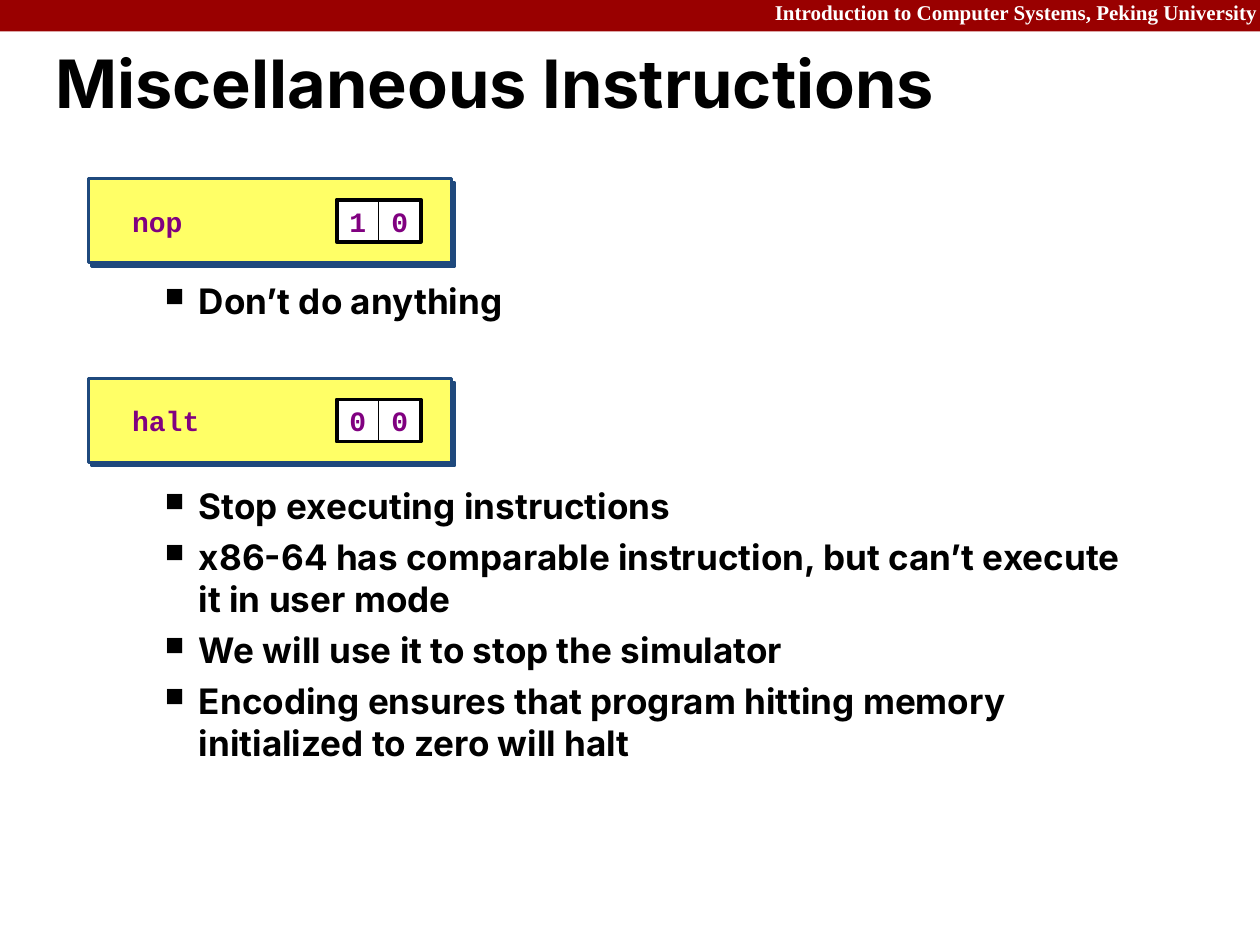
from lxml import etree
from pptx import Presentation
from pptx.dml.color import RGBColor
from pptx.enum.shapes import MSO_SHAPE
from pptx.enum.text import MSO_ANCHOR, MSO_AUTO_SIZE, PP_ALIGN
from pptx.oxml.ns import qn
from pptx.util import Pt

# Content
HEADER = "Introduction to Computer Systems, Peking University"
TITLE = "Miscellaneous Instructions"
INSTRUCTIONS = [  # name, encoding, box top, bullets top, bullets height, bullets
    ("nop", "10", 102, 156, 32, ["Don’t do anything"]),
    ("halt", "00", 216, 273, 176, [
        "Stop executing instructions",
        "x86-64 has comparable instruction, but can’t execute it in user mode",
        "We will use it to stop the simulator",
        "Encoding ensures that program hitting memory initialized to zero will halt",
    ]),
]

# Style
RED = RGBColor(0x99, 0x00, 0x00)
YELLOW = RGBColor(0xFF, 0xFF, 0x66)
NAVY = RGBColor(0x1F, 0x49, 0x7D)
PURPLE = RGBColor(0x80, 0x00, 0x80)
BLACK = RGBColor(0, 0, 0)
WHITE = RGBColor(0xFF, 0xFF, 0xFF)
SANS, SERIF, MONO = "Inter", "Times New Roman", "Courier New"
RECT = MSO_SHAPE.RECTANGLE
TOP, MIDDLE = MSO_ANCHOR.TOP, MSO_ANCHOR.MIDDLE
LEFT, CENTER, RIGHT = PP_ALIGN.LEFT, PP_ALIGN.CENTER, PP_ALIGN.RIGHT
NO_FIT = MSO_AUTO_SIZE.NONE

# Layout
SLIDE_W, SLIDE_H = 719.3, 539.3
BOX_X, BOX_W, BOX_H = 50.4, 207.4, 48
LABEL_X, LABEL_W = 68.4, 120
CELL_X, CELL = 192.2, 24
BULLET_X, BULLET_W = 48.2, 606
INDENT, HANGING = 58.3, -19.4


def add_rect(s, x, y, w, h, fill=None, line=None, width=0):
    sp = s.shapes.add_shape(RECT, Pt(x), Pt(y), Pt(w), Pt(h))
    sp.shadow.inherit = False
    if fill is None:
        sp.fill.background()
    else:
        sp.fill.solid()
        sp.fill.fore_color.rgb = fill
    if line is None:
        sp.line.fill.background()
    else:
        sp.line.color.rgb = line
        sp.line.width = Pt(width)
    return sp


def add_textbox(s, x, y, w, h):
    return s.shapes.add_textbox(Pt(x), Pt(y), Pt(w), Pt(h))


def set_frame(sp, anchor, margin_x=7.2, margin_y=3.6):
    tf = sp.text_frame
    tf.word_wrap = True
    tf.auto_size = NO_FIT
    tf.vertical_anchor = anchor
    tf.margin_left = tf.margin_right = Pt(margin_x)
    tf.margin_top = tf.margin_bottom = Pt(margin_y)
    return tf


def write(p, text, font, size, color, align=LEFT):
    p.alignment = align
    r = p.add_run()
    r.text = text
    r.font.name = font
    r.font.size = Pt(size)
    r.font.bold = True
    r.font.color.rgb = color


def add_shadow(sp, color):
    effects = sp._element.spPr.find(qn("a:effectLst"))
    shadow = etree.SubElement(effects, qn("a:outerShdw"), dist=str(Pt(2.8)),
                              dir="2700000", algn="ctr", rotWithShape="0")
    etree.SubElement(shadow, qn("a:srgbClr"), val=str(color))


def add_bullet(p):
    pPr = p._p.get_or_add_pPr()
    pPr.set("marL", str(Pt(INDENT)))
    pPr.set("indent", str(Pt(HANGING)))
    etree.SubElement(pPr, qn("a:buSzPct"), val="75000")
    etree.SubElement(pPr, qn("a:buChar"), char="■")


prs = Presentation()
prs.slide_width, prs.slide_height = Pt(SLIDE_W), Pt(SLIDE_H)
s = prs.slides.add_slide(prs.slide_layouts[5])

# Header band
add_rect(s, 0, 0, SLIDE_W, 18, RED)
tf = set_frame(add_textbox(s, 432, -2.2, 293, 20), TOP)
tf.paragraphs[0].line_spacing = 0.9
write(tf.paragraphs[0], HEADER, SERIF, 12, WHITE, RIGHT)

# Title
title = s.shapes.title
title.left, title.top, title.width, title.height = Pt(31.7), Pt(19.4), Pt(685.4), Pt(61.2)
tf = set_frame(title, MIDDLE, 0, 0)
tf.paragraphs[0].line_spacing = 0.87
write(tf.paragraphs[0], TITLE, SANS, 38, BLACK)

for name, encoding, box_y, bullets_y, bullets_h, bullets in INSTRUCTIONS:
    # Instruction box with its name
    add_shadow(add_rect(s, BOX_X, box_y, BOX_W, BOX_H, YELLOW, NAVY, 1.5), NAVY)
    cell_y = box_y + (BOX_H - CELL) / 2
    tf = set_frame(add_textbox(s, LABEL_X, cell_y, LABEL_W, CELL), MIDDLE)
    write(tf.paragraphs[0], name, MONO, 16, PURPLE)

    # Encoding cells and their frame
    for i, digit in enumerate(encoding):
        cell = add_rect(s, CELL_X + i * CELL, cell_y, CELL, CELL, WHITE, BLACK, 0.5)
        tf = set_frame(cell, MIDDLE, 0)
        write(tf.paragraphs[0], digit, MONO, 16, PURPLE, CENTER)
    add_rect(s, CELL_X, cell_y, len(encoding) * CELL, CELL, None, BLACK, 2.25)

    # Explanation
    tf = set_frame(add_textbox(s, BULLET_X, bullets_y, BULLET_W, bullets_h), TOP)
    for i, text in enumerate(bullets):
        p = tf.add_paragraph() if i else tf.paragraphs[0]
        p.space_before = Pt(5 if i else 0)
        write(p, text, SANS, 20, BLACK)
        add_bullet(p)

prs.save("out.pptx")
